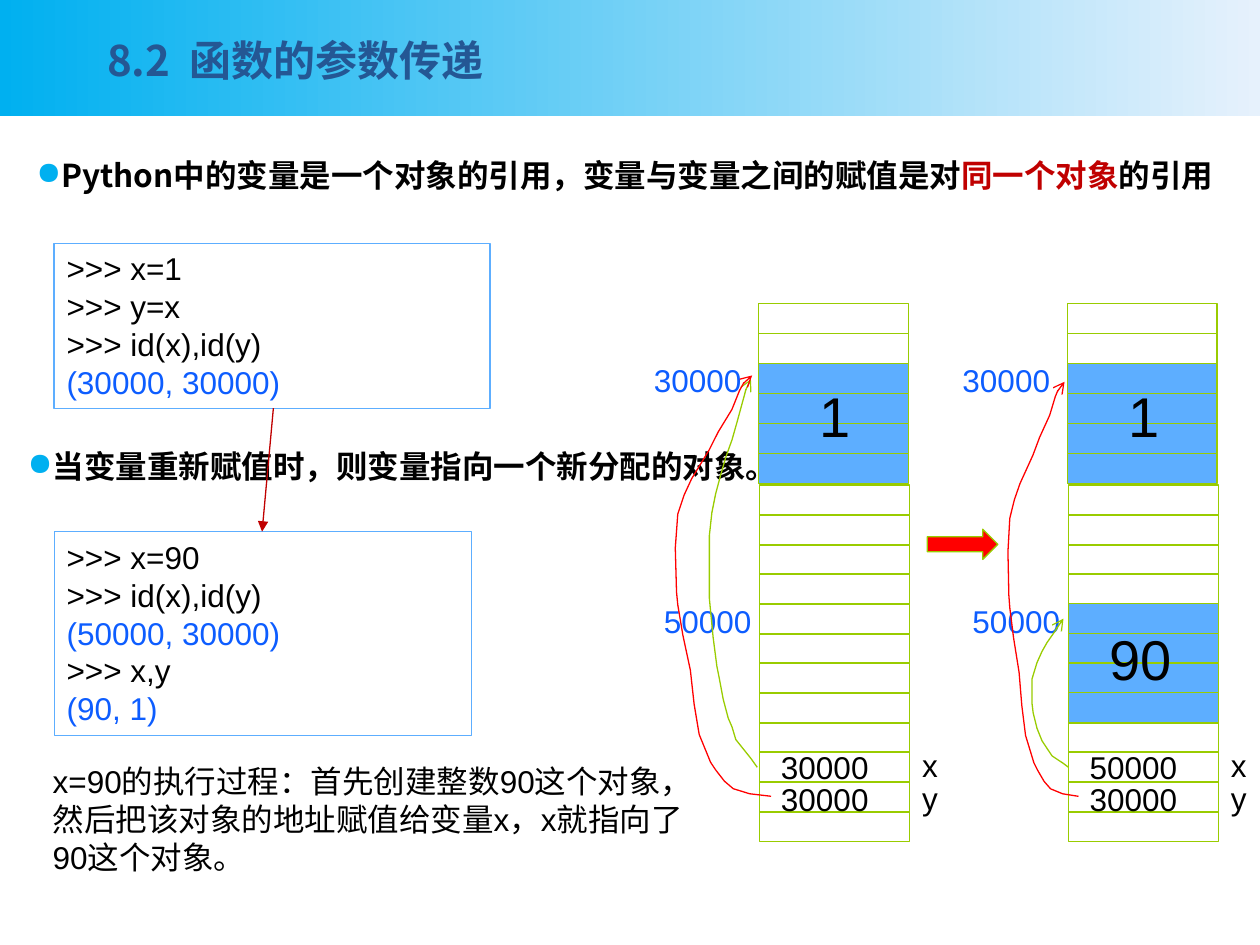
import pptx
import pptx.dml.color
import pptx.enum.shapes
import pptx.enum.text
import pptx.oxml
import pptx.oxml.ns
import pptx.util
from pptx.util import Inches

SHAPE = pptx.enum.shapes.MSO_SHAPE
CJK = "Noto Sans CJK SC"
BLACK, BLUE, SKY, GREEN, RED, DARK_RED = "000000", "0D5DFF", "5DAEFF", "99CC00", "FF0000", "C00000"
A_NS = pptx.oxml.ns.nsdecls("a")


def paint(shape, fill=None, line=None, arrow=None):
    """Set fill, outline and the arrowhead at the far end; remove the shadow."""
    if hasattr(shape, "fill"):
        shape.shadow.inherit = False
        if fill:
            shape.fill.solid()
            shape.fill.fore_color.rgb = pptx.dml.color.RGBColor.from_string(fill)
        else:
            shape.fill.background()
    else:
        shape.element.spPr.append(pptx.oxml.parse_xml(f"<a:effectLst {A_NS}/>"))
    shape.line.color.rgb = pptx.dml.color.RGBColor.from_string(line)
    shape.line.width = pptx.util.Pt(0.75)
    if arrow:
        shape.line._get_or_add_ln().append(
            pptx.oxml.parse_xml(f'<a:tailEnd {A_NS} type="{arrow}"/>'))


def write(shape, paragraphs, size=18, font="Arial", bold=False, bullet=False):
    """Fill a shape with paragraphs, each a list of (text, colour) runs."""
    frame = shape.text_frame
    frame.word_wrap = True
    frame.vertical_anchor = pptx.enum.text.MSO_ANCHOR.TOP
    for index, spans in enumerate(paragraphs):
        para = frame.add_paragraph() if index else frame.paragraphs[0]
        para.alignment = pptx.enum.text.PP_ALIGN.LEFT
        if bullet:
            para.line_spacing = 1.5
            para.space_after = pptx.util.Pt(6)
            props = para._p.get_or_add_pPr()
            props.append(pptx.oxml.parse_xml(
                f'<a:buClr {A_NS}><a:srgbClr val="00B0F0"/></a:buClr>'))
            props.append(pptx.oxml.parse_xml(f'<a:buChar {A_NS} char="●"/>'))
        for text, colour in spans:
            span = para.add_run()
            span.text = text
            span.font.size = pptx.util.Pt(size)
            span.font.bold = bold
            span.font.color.rgb = pptx.dml.color.RGBColor.from_string(colour)
            span.font.name = font
            span.font._element.append(
                pptx.oxml.parse_xml(f'<a:ea {A_NS} typeface="{CJK}"/>'))


deck = pptx.Presentation()
deck.slide_width, deck.slide_height = Inches(10), Inches(7.5)
page = deck.slides.add_slide(deck.slide_layouts[5])
shapes = page.shapes

# Header band, placed behind the title
band = shapes.add_shape(SHAPE.RECTANGLE, 0, 0, Inches(10), Inches(0.92))
band.shadow.inherit = False
band.line.fill.background()
band.fill.gradient()
band.fill.gradient_angle = 0
for stop, colour, position in zip(band.fill.gradient_stops, ("00B0F0", "E6F1FC"), (0, 1)):
    stop.color.rgb = pptx.dml.color.RGBColor.from_string(colour)
    stop.position = position
shapes.element.insert(2, band.element)

title = shapes.title
title.left, title.top, title.width, title.height = map(Inches, (0.75, 0.14, 8.14, 0.67))
write(title, [[("8.2  函数的参数传递", "245794")]], 24, CJK, bold=True)
title.text_frame.vertical_anchor = pptx.enum.text.MSO_ANCHOR.MIDDLE

# Bulleted statements
statements = [
    ((0.19, 1.04, 9.77, 0.67), [("Python中的变量是一个对象的引用，变量与变量之间的赋值是对", BLACK),
                                ("同一个对象", DARK_RED), ("的引用", BLACK)]),
    ((0.12, 3.35, 5.98, 0.5), [("当变量重新赋值时，则变量指向一个新分配的对象。", BLACK)]),
]
for place, spans in statements:
    box = shapes.add_textbox(*map(Inches, place))
    write(box, [spans], font=CJK, bold=True, bullet=True)

# Interpreter sessions: input in black, results in blue
sessions = [
    ((0.43, 1.93, 3.46, 1.31), [">>> x=1", ">>> y=x", ">>> id(x),id(y)", "(30000, 30000)"]),
    ((0.43, 4.22, 3.31, 1.62), [">>> x=90", ">>> id(x),id(y)", "(50000, 30000)",
                                ">>> x,y", "(90, 1)"]),
]
for place, lines in sessions:
    box = shapes.add_shape(SHAPE.RECTANGLE, *map(Inches, place))
    paint(box, line=SKY)
    write(box, [[(line, BLACK if line.startswith(">>>") else BLUE)] for line in lines])

link = shapes.add_connector(pptx.enum.shapes.MSO_CONNECTOR.STRAIGHT,
                            *map(Inches, (2.17, 3.24, 2.08, 4.22)))
paint(link, line=DARK_RED, arrow="triangle")

note = shapes.add_textbox(*map(Inches, (0.32, 6, 5.23, 1.01)))
write(note, [[("x=90的执行过程：首先创建整数90这个对象，然后把该对象的地址赋值给变量x，"
               "x就指向了90这个对象。", BLACK)]])

# Memory columns before and after the assignment
cell_groups = [(0, 2.41, 3.6, 6), (0.01, 3.85, 6.44, 12)]  # shift, first top, last top, count
columns = [(6.02, range(2, 6), "30000"), (8.47, [2, 3, 4, 5, 10, 11, 12, 13], "50000")]
for left, filled, x_value in columns:
    cell = 0
    for shift, first, last, count in cell_groups:
        for row in range(count):
            top = first + row * (last - first) / (count - 1)
            slot = shapes.add_shape(SHAPE.RECTANGLE, Inches(left + shift), Inches(top),
                                    Inches(1.19), Inches(0.24))
            paint(slot, SKY if cell in filled else None, GREEN)
            cell += 1
    labels = [
        ("1", 0.39, 2.98, 0.57, 32, BLACK),
        ("30000", -0.93, 2.82, 1.12, 18, BLUE),
        ("50000", -0.85, 4.73, 0.93, 18, BLUE),
        (x_value, 0.08, 5.89, 0.93, 18, BLACK),
        ("30000", 0.08, 6.14, 0.93, 18, BLACK),
        ("x", 1.2, 5.87, 0.32, 18, BLACK),
        ("y", 1.2, 6.13, 0.32, 18, BLACK),
    ]
    if x_value == "50000":
        labels.append(("90", 0.24, 4.91, 0.91, 32, BLACK))
    for text, shift, top, width, size, colour in labels:
        box = shapes.add_textbox(Inches(left + shift), Inches(top), Inches(width),
                                 Inches(0.64 if size == 32 else 0.4))
        write(box, [[(text, colour)]], size)

# Reference curves from the variables to the objects
x_before = [(6.01, 6.09), (5.96, 6.02), (5.84, 5.87), (5.81, 5.77), (5.78, 5.7), (5.74, 5.55),
            (5.71, 5.39), (5.69, 5.29), (5.66, 5.06), (5.63, 4.75), (5.63, 4.25), (5.65, 4.07),
            (5.68, 3.92), (5.72, 3.77), (5.76, 3.63), (5.81, 3.49), (5.85, 3.35), (5.88, 3.24),
            (5.91, 3.13), (5.93, 3.05), (5.96, 3.01)]
y_before = [(6.12, 6.32), (5.95, 6.3), (5.82, 6.26), (5.75, 6.2), (5.68, 6.11), (5.64, 6.05),
            (5.55, 5.83), (5.51, 5.59), (5.48, 5.32), (5.42, 5.04), (5.38, 4.8), (5.37, 4.7),
            (5.36, 4.35), (5.38, 4.08), (5.43, 3.93), (5.49, 3.8), (5.63, 3.57), (5.7, 3.43),
            (5.81, 3.25), (5.87, 3.1), (5.92, 3.01), (5.97, 2.98)]
x_after = [(8.48, 6.09), (8.44, 6.06), (8.35, 6), (8.31, 5.94), (8.27, 5.88), (8.23, 5.78),
           (8.2, 5.66), (8.19, 5.58), (8.19, 5.39), (8.23, 5.26), (8.27, 5.17), (8.31, 5.1),
           (8.38, 5), (8.41, 4.94), (8.44, 4.91)]
y_after = [(8 + (x - 5.36) * 0.56 / 0.76, 3.03 + (y - 2.98) * 3.29 / 3.34) for x, y in y_before]
for points, colour in [(x_before, GREEN), (y_before, RED), (x_after, GREEN), (y_after, RED)]:
    start, *rest = [(Inches(x), Inches(y)) for x, y in points]
    builder = shapes.build_freeform(*start)
    builder.add_line_segments(rest, close=False)
    paint(builder.convert_to_shape(), line=colour, arrow="arrow")

step = shapes.add_shape(SHAPE.RIGHT_ARROW, *map(Inches, (7.36, 4.2, 0.56, 0.24)))
paint(step, RED, GREEN)

deck.save("out.pptx")
